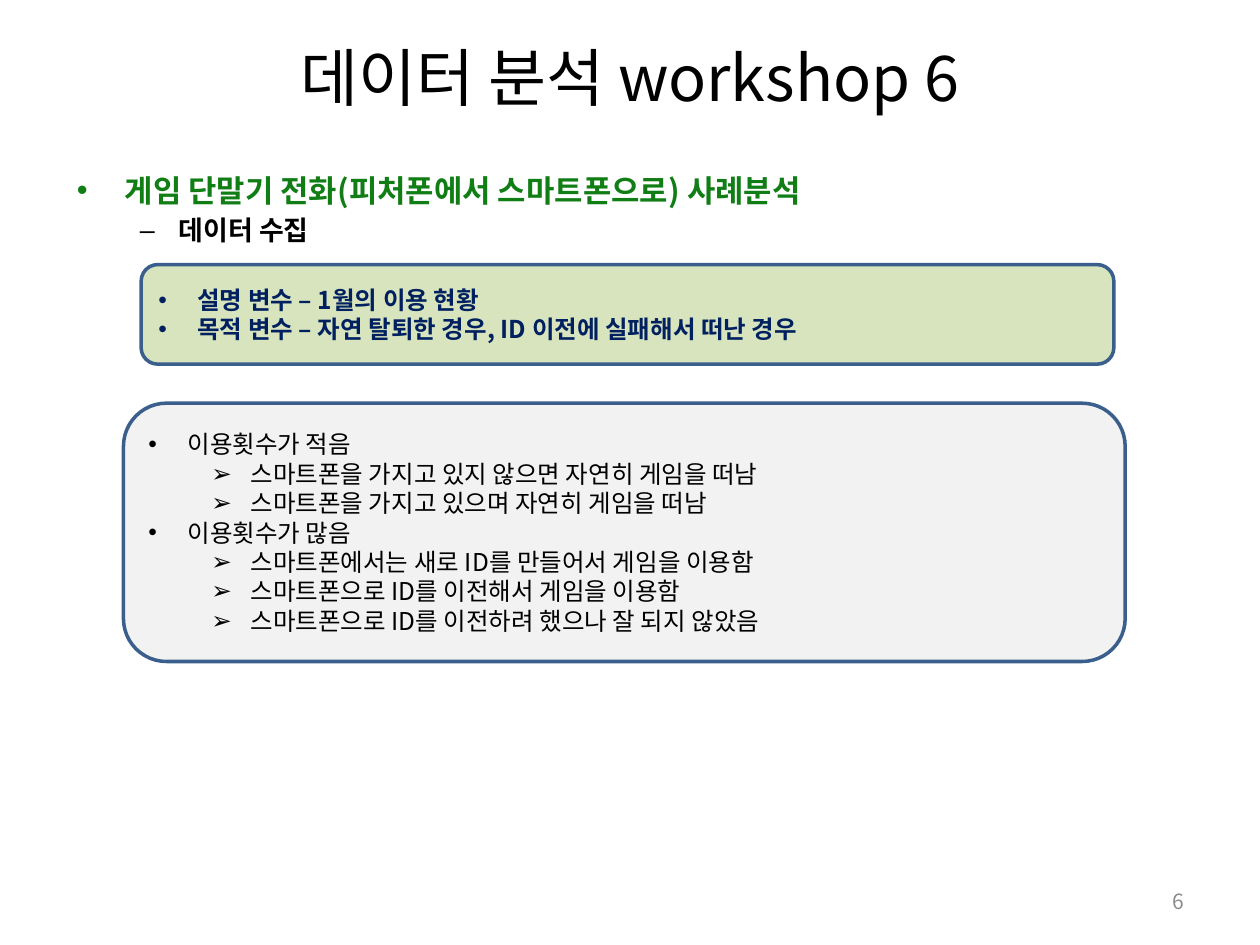
import pptx
import pptx.util
import pptx.dml.color
import pptx.enum.shapes
import pptx.enum.text
import pptx.oxml.ns
import lxml.etree

Inches = pptx.util.Inches
Pt = pptx.util.Pt
Align = pptx.enum.text.PP_ALIGN
Anchor = pptx.enum.text.MSO_ANCHOR

FONT = "Noto Sans CJK KR"
COLORS = {
    "black": "000000", "green": "107E15", "navy": "002060", "gray": "8C8C8C",
    "outline": "3A5F8C", "lime": "D7E4BD", "pale": "F2F2F2",
}


def color(name):
    return pptx.dml.color.RGBColor.from_string(COLORS[name])


def write(box, lines, anchor=Anchor.MIDDLE):
    frame = box.text_frame
    for name, value in {"word_wrap": True, "vertical_anchor": anchor,
                        "auto_size": pptx.enum.text.MSO_AUTO_SIZE.NONE}.items():
        setattr(frame, name, value)
    for index, (text, look) in enumerate(lines):
        para = frame.add_paragraph() if index else frame.paragraphs[0]
        size = look["size"]
        for name, value in {"alignment": look.get("align", Align.LEFT),
                            "level": look.get("level", 0),
                            "line_spacing": Pt(round(size * 1.2, 1)),
                            "space_before": Pt(round(size * look.get("before", 0), 1))}.items():
            setattr(para, name, value)
        span = para.add_run()
        span.text = text
        for name, value in {"name": FONT, "size": Pt(size), "bold": look.get("bold", False)}.items():
            setattr(span.font, name, value)
        span.font.color.rgb = color(look["color"])
        east_asian = lxml.etree.SubElement(span.font._element, pptx.oxml.ns.qn("a:ea"))
        east_asian.set("typeface", FONT)
        if "bullet" in look:
            margin, indent = look["indent"]
            properties = para._p.get_or_add_pPr()
            properties.set("marL", str(Inches(margin)))
            properties.set("indent", str(Inches(indent)))
            face = lxml.etree.SubElement(properties, pptx.oxml.ns.qn("a:buFont"))
            face.set("typeface", "Arial")
            bullet = lxml.etree.SubElement(properties, pptx.oxml.ns.qn("a:buChar"))
            bullet.set("char", look["bullet"])


deck = pptx.Presentation()
deck.slide_width, deck.slide_height = Inches(10), Inches(7.5)
page = deck.slides.add_slide(deck.slide_layouts[1])
title, body = page.shapes.title, page.placeholders[1]
number = page.shapes.add_textbox(0, 0, 0, 0)
for box, place in [(title, (0.5, 0.3, 9, 0.61)),
                   (body, (0.51, 1.31, 8.52, 0.63)),
                   (number, (7.17, 6.95, 2.33, 0.4))]:
    box.left, box.top, box.width, box.height = map(Inches, place)

write(title, [("데이터 분석 workshop 6", {"size": 36, "color": "black", "align": Align.CENTER})])
write(body, [
    ("게임 단말기 전화(피처폰에서 스마트폰으로) 사례분석",
     {"size": 17.6, "color": "green", "bold": True, "before": 0.2,
      "bullet": "•", "indent": (0.38, -0.38)}),
    ("데이터 수집",
     {"size": 15.4, "color": "black", "bold": True, "before": 0.2, "level": 1,
      "bullet": "–", "indent": (0.81, -0.31)}),
], Anchor.TOP)
write(number, [("6", {"size": 12, "color": "gray", "align": Align.RIGHT})])

variable = {"size": 14, "color": "navy", "bold": True, "bullet": "•", "indent": (0.31, -0.31)}
usage = {"size": 14, "color": "black", "bullet": "•", "indent": (0.31, -0.31)}
case = {"size": 14, "color": "black", "level": 1, "bullet": "➢", "indent": (0.81, -0.31)}
panels = [
    ((1.12, 2.1, 7.72, 0.79), "lime", [
        ("설명 변수 – 1월의 이용 현황", variable),
        ("목적 변수 – 자연 탈퇴한 경우, ID 이전에 실패해서 떠난 경우", variable),
    ]),
    ((0.98, 3.2, 7.95, 2.05), "pale", [
        ("이용횟수가 적음", usage),
        ("스마트폰을 가지고 있지 않으면 자연히 게임을 떠남", case),
        ("스마트폰을 가지고 있으며 자연히 게임을 떠남", case),
        ("이용횟수가 많음", usage),
        ("스마트폰에서는 새로 ID를 만들어서 게임을 이용함", case),
        ("스마트폰으로 ID를 이전해서 게임을 이용함", case),
        ("스마트폰으로 ID를 이전하려 했으나 잘 되지 않았음", case),
    ]),
]
for place, fill, lines in panels:
    panel = page.shapes.add_shape(pptx.enum.shapes.MSO_SHAPE.ROUNDED_RECTANGLE, *map(Inches, place))
    panel.shadow.inherit = False
    panel.fill.solid()
    panel.fill.fore_color.rgb = color(fill)
    panel.line.color.rgb = color("outline")
    panel.line.width = Pt(2)
    write(panel, lines)

deck.save("out.pptx")
